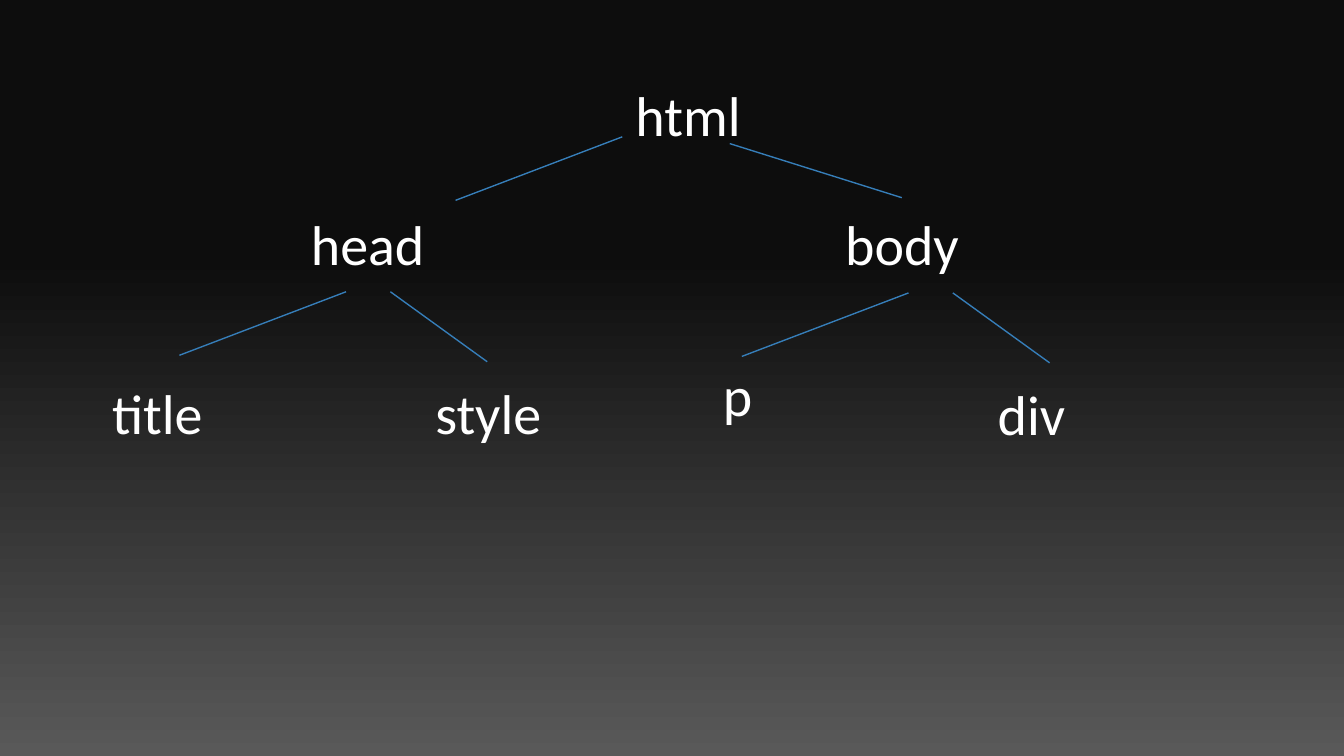
from lxml import etree
from pptx import Presentation
from pptx import util as u
from pptx.dml.color import RGBColor
from pptx.enum import shapes, text
from pptx.oxml import ns

SLIDE_WIDTH = u.Inches(10)
SLIDE_HEIGHT = SLIDE_WIDTH * 9 // 16
COLORS = {"top": "0D0D0D", "bottom": "595959", "tag": "FFFFFF", "branch": "367EB9"}

# Places and sizes are percentages of the slide's width and height.
TAG_SIZE = (26.5, 16.7)
TAGS = {
    "html": (46.3, 7.5),
    "head": (22.15, 24.55),
    "body": (61.9, 24.55),
    "title": (7.35, 46.95),
    "style": (31.4, 46.95),
    "p": (52.8, 44.6),
    "div": (73.25, 47.15),
}
LEFT_REACH = (-12.4, 8.4)
ROOT_RIGHT_REACH = (12.8, 7.15)
CHILD_RIGHT_REACH = (7.2, 9.25)
CHILD_GAP = 3.3
CHILD_FORKS = [(25.75, 38.6), (67.6, 38.75)]


def color(name):
    """Return the named palette colour."""
    return RGBColor.from_string(COLORS[name])


def share(x, y):
    """Turn percentages of the slide into lengths."""
    return round(SLIDE_WIDTH * x / 100), round(SLIDE_HEIGHT * y / 100)


def paint_background(slide):
    """Fill the slide with a gradient running from top to bottom."""
    fill = slide.background.fill
    fill.gradient()
    fill.gradient_angle = 270
    for stop, name, position in zip(fill.gradient_stops, ("top", "bottom"), (0.34, 1)):
        stop.color.rgb = color(name)
        stop.position = position


def add_tag(slide, name, place):
    """Write one tag name of the tree."""
    frame = slide.shapes.add_textbox(*share(*place), *share(*TAG_SIZE)).text_frame
    frame.word_wrap = True
    frame.vertical_anchor = text.MSO_ANCHOR.TOP
    frame.margin_left = frame.margin_right = u.Inches(0.1)
    frame.margin_top = frame.margin_bottom = u.Inches(0.1)
    label = frame.paragraphs[0]
    label.line_spacing = 1.15
    run = label.add_run()
    run.text = name
    run.font.name = "Calibri"
    run.font.size = u.Pt(30)
    run.font.color.rgb = color("tag")


def add_branch(slide, start, reach):
    """Draw a line from a parent tag towards its child."""
    end = (start[0] + reach[0], start[1] + reach[1])
    branch = slide.shapes.add_connector(
        shapes.MSO_CONNECTOR.STRAIGHT, *share(*start), *share(*end))
    branch.line.color.rgb = color("branch")
    branch.line.width = u.Pt(0.75)
    etree.SubElement(branch._element.spPr, ns.qn("a:effectLst"))


def main():
    """Build the slide with the document tree."""
    deck = Presentation()
    deck.slide_width, deck.slide_height = SLIDE_WIDTH, SLIDE_HEIGHT
    slide = deck.slides.add_slide(deck.slide_layouts[6])
    paint_background(slide)
    for name, place in TAGS.items():
        add_tag(slide, name, place)
    add_branch(slide, (46.3, 18.1), LEFT_REACH)
    add_branch(slide, (54.3, 19), ROOT_RIGHT_REACH)
    for x, y in CHILD_FORKS:
        add_branch(slide, (x, y), LEFT_REACH)
        add_branch(slide, (x + CHILD_GAP, y), CHILD_RIGHT_REACH)
    deck.save("out.pptx")


main()
